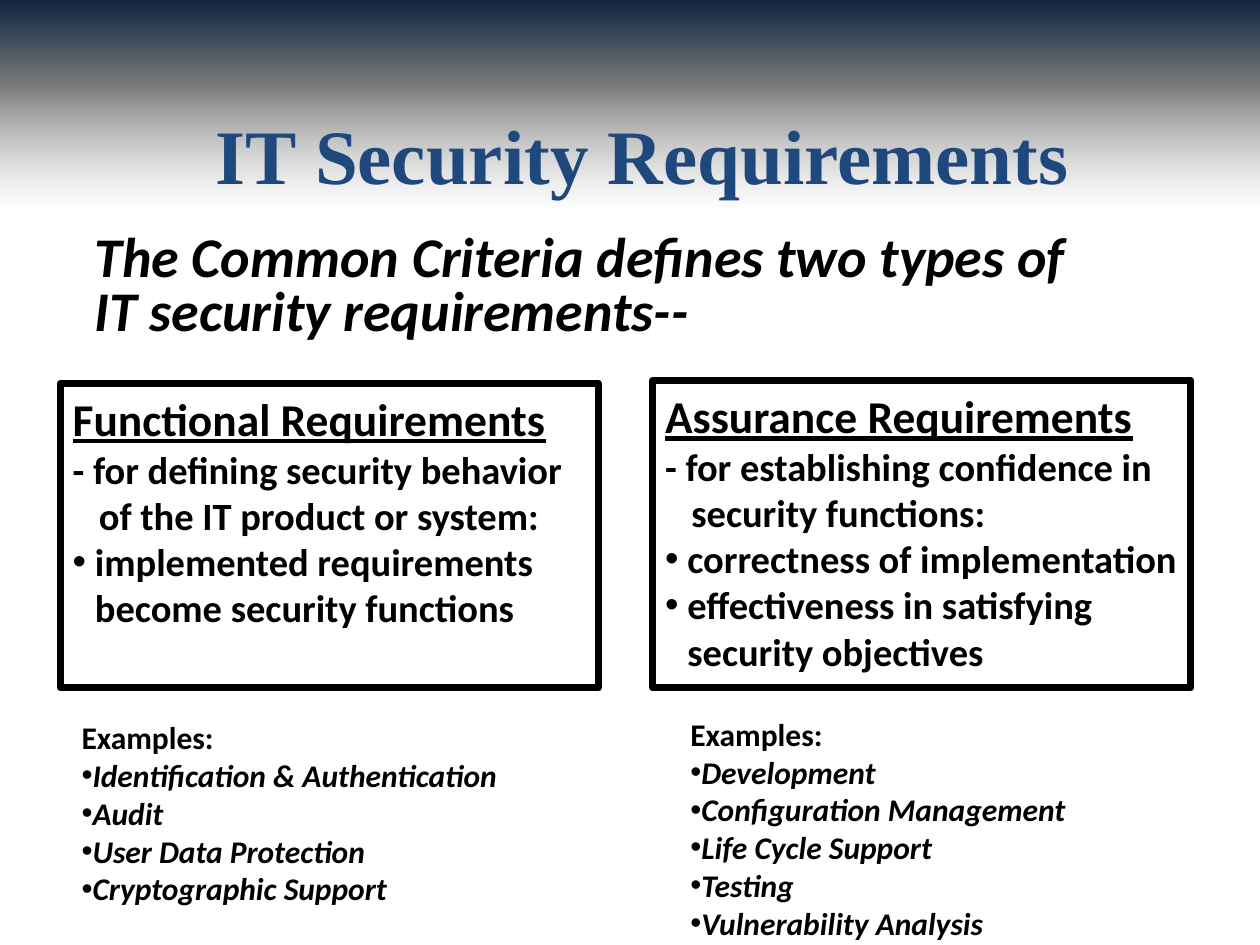
from lxml.etree import SubElement
from pptx import Presentation
from pptx.dml.color import RGBColor
from pptx.enum.shapes import MSO_SHAPE
from pptx.enum.text import MSO_ANCHOR, MSO_AUTO_SIZE, PP_ALIGN
from pptx.oxml import parse_xml
from pptx.oxml.ns import nsdecls, qn
from pptx.util import Pt

BLACK = RGBColor(0x00, 0x00, 0x00)
NAVY = RGBColor(0x1F, 0x49, 0x7D)

TITLE = "IT Security Requirements"
INTRO = "The Common Criteria defines two types of IT security requirements--"
STOPS = [(0, "0F243E", 100), (38, "808080", 100), (89, "BFBFBF", 0), (96, "FFFFFF", 0)]
HEAD = dict(size=26, under=True)
DASH = dict(size=22, hang=15)
DOT = dict(size=22, hang=12.7, mark="•")
LABEL = dict(size=18)
ITEM = dict(size=18, hang=6.3, mark="•", italic=True)
BOXES = [
    ((34.5, 218.9, 307.5, 174.2), [
        ("Functional Requirements", HEAD),
        ("- for defining security behavior\vof the IT product or system:", DASH),
        ("implemented requirements\vbecome security functions", DOT),
    ]),
    ((373, 217.4, 307.5, 175.7), [
        ("Assurance Requirements", HEAD),
        ("- for establishing confidence in\vsecurity functions:", DASH),
        ("correctness of implementation", DOT),
        ("effectiveness in satisfying\vsecurity objectives", DOT),
    ]),
]
LISTS = [
    ((39.5, 406.8, 303, 115), [
        "Identification & Authentication", "Audit", "User Data Protection",
        "Cryptographic Support"]),
    ((387.4, 404.9, 303, 137), [
        "Development", "Configuration Management", "Life Cycle Support",
        "Testing", "Vulnerability Analysis"]),
]


def place(shape, area):
    shape.left, shape.top, shape.width, shape.height = map(Pt, area)


def setup(shape, anchor=MSO_ANCHOR.TOP, top=3.6, right=7.2):
    frame = shape.text_frame
    frame.word_wrap = True
    frame.auto_size = MSO_AUTO_SIZE.NONE
    frame.vertical_anchor = anchor
    frame.margin_left, frame.margin_right = Pt(7.2), Pt(right)
    frame.margin_top, frame.margin_bottom = Pt(top), Pt(3.6)
    return frame


def write(frame, text, size=18, face="Calibri", color=BLACK, italic=False,
          under=False, align=PP_ALIGN.LEFT, lead=1.0, hang=0, mark=None):
    para = frame.paragraphs[0]
    if para.runs:
        para = frame.add_paragraph()
    props = para._p.get_or_add_pPr()
    props.set("marL", str(Pt(hang)))
    props.set("indent", str(-Pt(hang)))
    if mark:
        SubElement(props, qn("a:buFont"), typeface="Arial")
        SubElement(props, qn("a:buChar"), char=mark)
    else:
        SubElement(props, qn("a:buNone"))
    para.alignment = align
    para.line_spacing = lead
    para.space_before = para.space_after = Pt(0)
    for i, line in enumerate(text.split("\v")):
        if i:
            para.add_line_break()
        run = para.add_run()
        run.text = line
        font = run.font
        font.name, font.size, font.bold = face, Pt(size), True
        font.italic, font.underline = italic, under
        font.color.rgb = color


def fade(shape):
    stops = "".join(
        f'<a:gs pos="{pos * 1000}"><a:srgbClr val="{tint}">'
        f'<a:alpha val="{alpha * 1000}"/></a:srgbClr></a:gs>'
        for pos, tint, alpha in STOPS)
    fill = parse_xml(f'<a:gradFill {nsdecls("a")}><a:gsLst>{stops}</a:gsLst>'
                     '<a:lin ang="5400000" scaled="0"/></a:gradFill>')
    shape._element.spPr.find(qn("a:prstGeom")).addnext(fill)


def main():
    deck = Presentation()
    deck.slide_width, deck.slide_height = Pt(720), Pt(540)
    slide = deck.slides.add_slide(deck.slide_layouts[1])
    shapes = slide.shapes

    band = shapes.add_shape(MSO_SHAPE.RECTANGLE, 0, 0, Pt(720), Pt(134.6))
    band.shadow.inherit = False
    band.line.fill.background()
    fade(band)
    shapes._spTree.insert(2, band._element)

    title, body = shapes.title, slide.placeholders[1]
    place(title, (94.3, 52.6, 545.8, 80.6))
    write(setup(title, MSO_ANCHOR.MIDDLE), TITLE, size=44, face="Times New Roman",
          color=NAVY, align=PP_ALIGN.CENTER, lead=0.8)
    place(body, (46.8, 130.3, 576.7, 68.4))
    write(setup(body), INTRO, size=32, italic=True, lead=0.8)

    for area, lines in BOXES:
        box = shapes.add_shape(MSO_SHAPE.RECTANGLE, *map(Pt, area))
        box.shadow.inherit = False
        box.fill.background()
        box.line.color.rgb = BLACK
        box.line.width = Pt(4)
        frame = setup(box, top=4.5, right=0)
        for text, style in lines:
            write(frame, text, **style)

    for area, items in LISTS:
        frame = setup(shapes.add_textbox(*map(Pt, area)))
        write(frame, "Examples:", **LABEL)
        for item in items:
            write(frame, item, **ITEM)

    deck.save("out.pptx")


if __name__ == "__main__":
    main()
